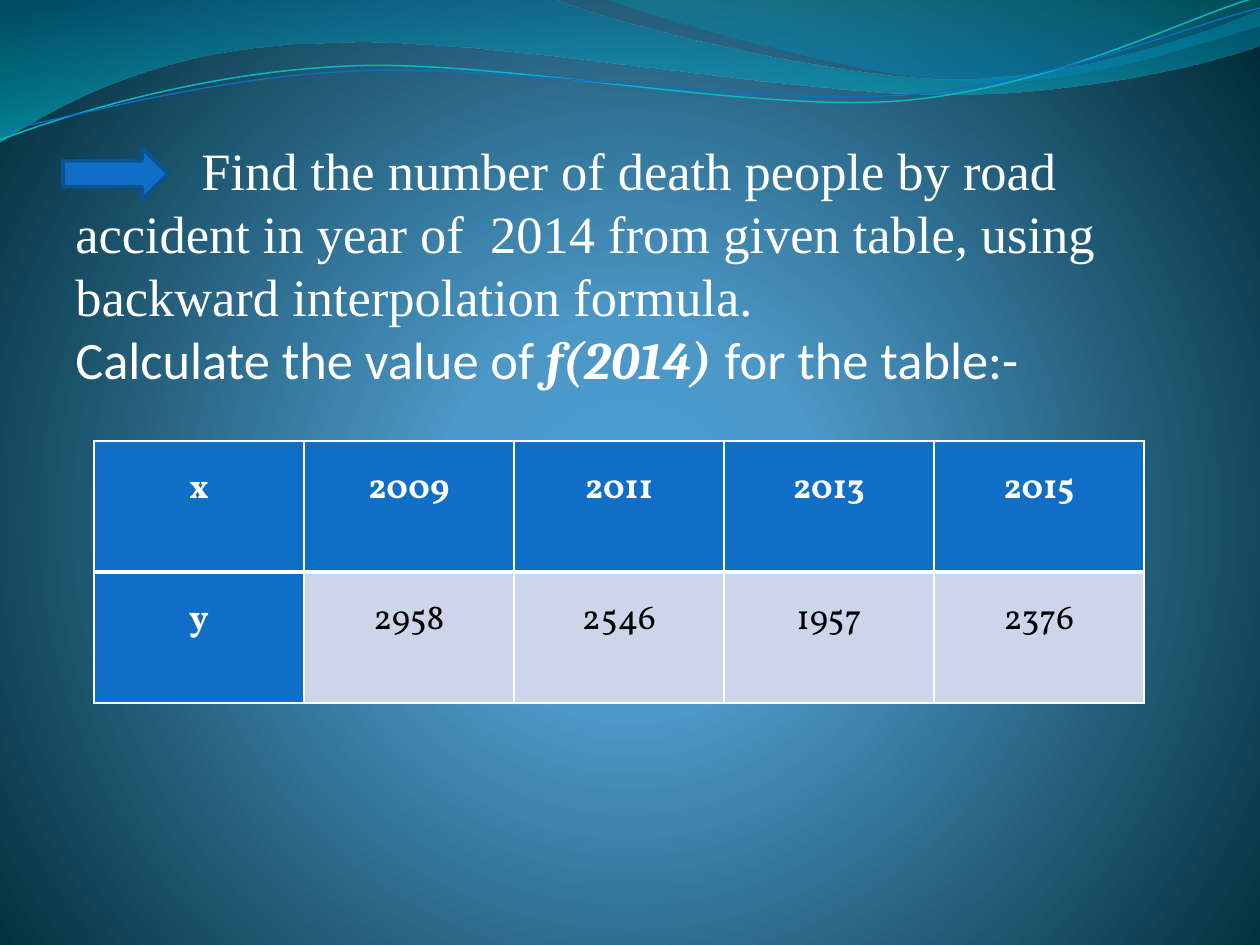
from lxml import etree
from pptx import Presentation
from pptx import util as u
from pptx.dml.color import RGBColor
from pptx.enum import shapes, text
from pptx.oxml import ns

PIXEL = 914400 / 126
WHITE = RGBColor(0xFF, 0xFF, 0xFF)
BLACK = RGBColor(0, 0, 0)
BLUE = RGBColor(0x0F, 0x6F, 0xC6)
DARK_BLUE = RGBColor(0x0B, 0x52, 0x92)
TEAL = RGBColor(0x0A, 0xB8, 0xBF)
PALE = RGBColor(0xCC, 0xD5, 0xEA)
SKY = RGBColor(0x4A, 0xA0, 0xD6)
MIST = RGBColor(0x4C, 0x98, 0xC7)
NIGHT = RGBColor(0x00, 0x2C, 0x38)
OCEAN = RGBColor(0x00, 0x74, 0xA1)
AQUA = RGBColor(0x00, 0xC6, 0xCF)
LAGOON = RGBColor(0x00, 0xA1, 0xA9)
AZURE = RGBColor(0x00, 0x8B, 0xBF)

# Each wave is a start point, then steps: 2 numbers for a line, 6 for a curve.
BROAD_WAVE = [(0, 0), (554, -1), (600, 21, 837, 79, 955, 79),
              (1075, 79, 1207, 33, 1260, 11), (1261, 45),
              (1239, 55, 1096, 96, 940, 94), (784, 94, 481, 35, 324, 43),
              (163, 45, 58, 105, -1, 142)]
SMALL_WAVE = [(604, -1), (641, 14, 859, 78, 969, 82),
              (1079, 87, 1211, 40, 1260, 26), (1260, 0)]
TEAL_LINE = [(0, 140), (60, 117, 199, 72, 349, 66),
             (498, 59, 747, 112, 898, 101), (1050, 89, 1182, 19, 1257, -3)]
BLUE_LINE = [(0, 131), (59, 121, 207, 77, 357, 71),
             (508, 64, 752, 106, 903, 95), (1053, 84, 1186, 26, 1260, 8)]

ROWS = [["x", "2009", "2011", "2013", "2015"],
        ["y", "2958", "2546", "1957", "2376"]]


def px(length):
    """Turn pixels into EMU."""
    return u.Emu(round(length * PIXEL))


def set_gradient(parent, stops, direction):
    """Swap the solid fill of a properties element for a gradient."""
    marks = "".join(
        f'<a:gs pos="{place * 1000}"><a:srgbClr val="{color}">'
        f'<a:alpha val="{alpha * 1000}"/></a:srgbClr></a:gs>'
        for place, color, alpha in stops)
    gradient = etree.fromstring(
        f'<a:gradFill {ns.nsdecls("a")} rotWithShape="1">'
        f'<a:gsLst>{marks}</a:gsLst>{direction}</a:gradFill>')
    parent.replace(parent.find(ns.qn("a:solidFill")), gradient)


def bend(wave, left, top, steps):
    """Turn the straight segments of a freeform into its cubic curves."""
    segments = list(wave.element.iter(ns.qn("a:lnTo")))
    for segment, step in zip(segments, steps):
        if len(step) == 2:
            continue
        handles = "".join(
            f'<a:pt x="{px(left + x) - wave.left}" '
            f'y="{px(top + y) - wave.top}"/>'
            for x, y in zip(step[::2], step[1::2]))
        curve = etree.fromstring(f'<a:cubicBezTo {ns.nsdecls("a")}>{handles}'
                                 '</a:cubicBezTo>')
        segment.getparent().replace(segment, curve)


def add_wave(page, left, top, steps, stops=None, color=None, width=1):
    """Draw a wave: a gradient area if stops are given, else a line."""
    points = [(px(left + step[-2]), px(top + step[-1])) for step in steps]
    builder = page.shapes.build_freeform(*points[0], scale=1.0)
    builder.add_line_segments(points[1:], close=stops is not None)
    wave = builder.convert_to_shape()
    bend(wave, left, top, steps[1:])
    wave.shadow.inherit = False
    if stops:
        wave.fill.solid()
        set_gradient(wave.element.spPr, stops,
                     '<a:lin ang="5400000" scaled="0"/>')
        wave.line.fill.background()
    else:
        wave.fill.background()
        wave.line.color.rgb = color
        wave.line.width = u.Pt(width)


def add_backdrop(page, left, top):
    """Paint the background and the waves across the top."""
    page.background.fill.solid()
    set_gradient(page.element.find(".//" + ns.qn("p:bgPr")),
                 [(0, SKY, 100), (25, MIST, 100), (100, NIGHT, 100)],
                 '<a:path path="circle"><a:fillToRect l="10000" t="110000" '
                 'r="10000" b="100000"/></a:path>')
    add_wave(page, left, top, BROAD_WAVE, [(0, OCEAN, 45), (100, AQUA, 55)])
    add_wave(page, left, top, SMALL_WAVE, [(0, LAGOON, 30), (80, AZURE, 45)])
    add_wave(page, left, top, TEAL_LINE, color=TEAL, width=0.85)
    add_wave(page, left, top, BLUE_LINE, color=BLUE, width=0.75)


def add_span(para, words, font, size, color=WHITE, bold=False, italic=False):
    """Append formatted text to a paragraph."""
    span = para.add_run()
    span.text = words
    span.font.name = font
    span.font.size = u.Pt(size)
    span.font.color.rgb = color
    span.font.bold = bold
    span.font.italic = italic


def add_question(page, left, top, width, height):
    """Write the question, with an arrow in front of its first line."""
    box = page.shapes.add_textbox(px(left), px(top), px(width), px(height))
    frame = box.text_frame
    frame.word_wrap = True
    frame.margin_top = px(8)
    task, request = frame.paragraphs[0], frame.add_paragraph()
    for para in (task, request):
        para.line_spacing = u.Pt(36)
    task._p.get_or_add_pPr().set("indent", str(px(126)))
    add_span(task, "Find the number of death people by road accident in year "
             "of  2014 from given table, using backward interpolation formula.",
             "Times New Roman", 30)
    add_span(request, "Calculate the value of ", "Calibri", 30)
    add_span(request, "f(2014)", "Cambria", 30, bold=True, italic=True)
    add_span(request, " for the table:-", "Calibri", 30)

    arrow = page.shapes.add_shape(shapes.MSO_SHAPE.RIGHT_ARROW, px(left),
                                  px(top + 18), px(105), px(52))
    arrow.shadow.inherit = False
    arrow.fill.solid()
    arrow.fill.fore_color.rgb = BLUE
    arrow.line.color.rgb = DARK_BLUE
    arrow.line.width = u.Pt(2)


def set_borders(cell, **widths):
    """Give a cell white borders; widths are points by side."""
    properties = cell._tc.get_or_add_tcPr()
    for place, (side, width) in enumerate(widths.items()):
        properties.insert(place, etree.fromstring(
            f'<a:{side} {ns.nsdecls("a")} w="{u.Pt(width)}"><a:solidFill>'
            f'<a:srgbClr val="{WHITE}"/></a:solidFill></a:{side}>'))


def add_values(page, left, top, width, height):
    """Add the table of years and counts."""
    frame = page.shapes.add_table(len(ROWS), len(ROWS[0]), px(left), px(top),
                                  px(width), px(height))
    table = frame.table
    table.first_row = table.horz_banding = False
    for r, row in enumerate(ROWS):
        for c, words in enumerate(row):
            cell = table.cell(r, c)
            heading = r == 0 or c == 0
            cell.fill.solid()
            cell.fill.fore_color.rgb = BLUE if heading else PALE
            cell.margin_left = cell.margin_right = px(9)
            cell.margin_top = cell.margin_bottom = 0
            para = cell.text_frame.paragraphs[0]
            para.alignment = text.PP_ALIGN.CENTER
            para.line_spacing = 1.5
            add_span(para, words, "Vollkorn", 20,
                     color=WHITE if heading else BLACK, bold=heading)
            set_borders(cell, lnL=1, lnR=1, lnT=3 if r else 1,
                        lnB=1 if r else 3)


deck = Presentation()
deck.slide_width, deck.slide_height = px(1260), px(945)
page = deck.slides.add_slide(deck.slide_layouts[6])
add_backdrop(page, 0, 0)
add_values(page, 94, 441, 1050, 262)
add_question(page, 63, 130, 1144, 305)
deck.save("out.pptx")
